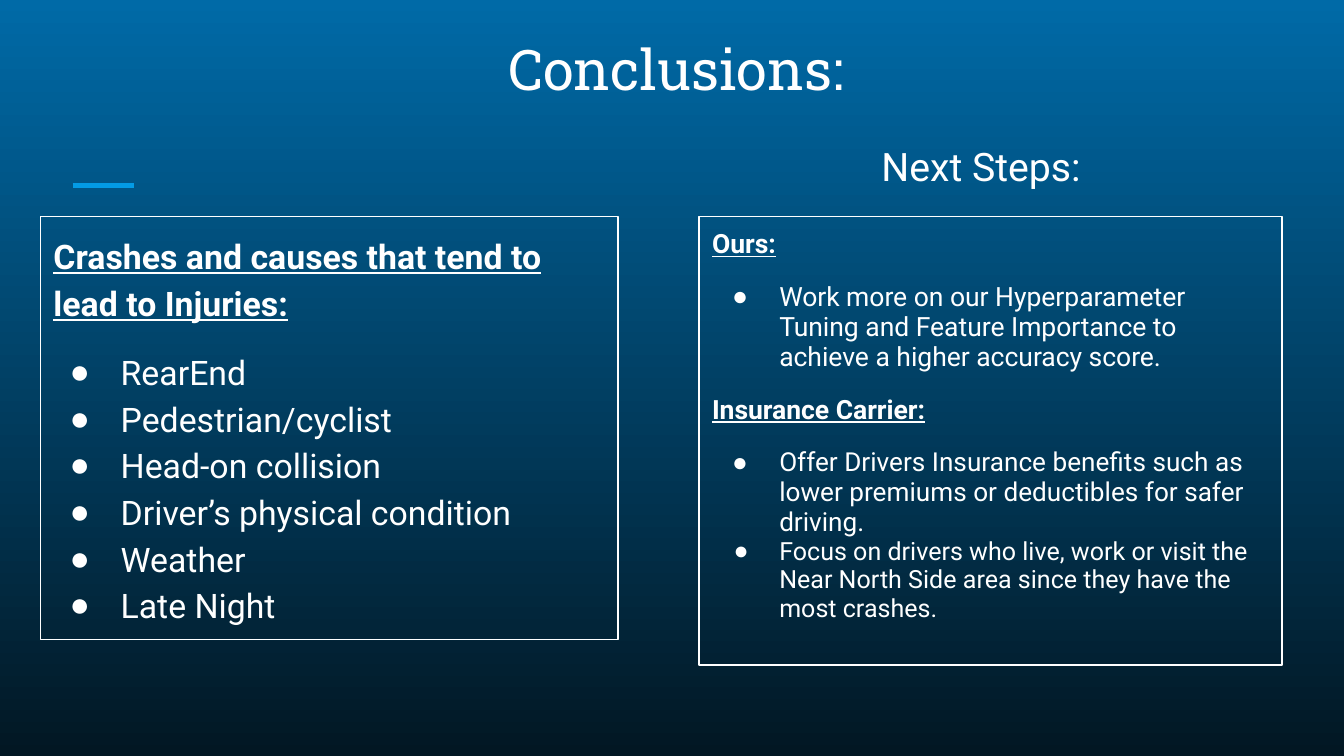
from lxml.etree import SubElement
from pptx import Presentation
from pptx.dml.color import RGBColor
from pptx.enum.shapes import MSO_CONNECTOR, MSO_SHAPE
from pptx.enum.text import MSO_ANCHOR, MSO_AUTO_SIZE, PP_ALIGN
from pptx.oxml.ns import qn
from pptx.util import Inches, Pt

COLORS = {"top": "006AA7", "bottom": "021723", "accent": "039BE5", "white": "FFFFFF"}

TITLE = "Conclusions:"
NEXT_STEPS = "Next Steps:"
HEADING = {"bold": True, "underline": True}
FIRST_BULLET = {"hanging": 0.38, "before": 12}
BULLET = {"hanging": 0.38}

PANELS = [
    {
        "place": (0.3, 1.61, 4.3, 3.15),
        "format": {"size": 18.1, "spacing": 1.15},
        "content": [
            ("Crashes and causes that tend to lead to Injuries:", HEADING),
            ("RearEnd", FIRST_BULLET),
            ("Pedestrian/cyclist", BULLET),
            ("Head-on collision", BULLET),
            ("Driver’s physical condition", BULLET),
            ("Weather", BULLET),
            ("Late Night", BULLET),
        ],
    },
    {
        "place": (5.2, 1.61, 4.34, 3.34),
        "format": {"size": 14.2, "spacing": 0.95},
        "content": [
            ("Ours:", HEADING),
            ("Work more on our Hyperparameter Tuning and Feature Importance "
             "to achieve a higher accuracy score.", {"hanging": 0.35, "before": 12}),
            ("Insurance Carrier:", {**HEADING, "before": 12}),
            ("Offer Drivers Insurance benefits such as lower premiums or "
             "deductibles for safer driving.", {"hanging": 0.35, "before": 12, "size": 14}),
            ("Focus on drivers who live, work or visit the Near North Side area "
             "since they have the most crashes.", {"hanging": 0.34, "size": 13.4}),
        ],
    },
]


def color(name):
    return RGBColor.from_string(COLORS[name])


def place(shape, left, top, width, height):
    shape.left, shape.top = Inches(left), Inches(top)
    shape.width, shape.height = Inches(width), Inches(height)


def prepare_frame(shape, anchor=MSO_ANCHOR.TOP):
    frame = shape.text_frame
    frame.word_wrap = True
    frame.auto_size = MSO_AUTO_SIZE.NONE
    frame.vertical_anchor = anchor
    frame.margin_left = frame.margin_right = Inches(0.1)
    frame.margin_top = frame.margin_bottom = Inches(0.1)
    return frame


def add_bullet(para, hanging):
    properties = para._p.get_or_add_pPr()
    properties.set("marL", str(Inches(0.5)))
    properties.set("indent", str(-Inches(hanging)))
    bullet_color = SubElement(properties, qn("a:buClr"))
    SubElement(bullet_color, qn("a:srgbClr"), val=COLORS["white"])
    SubElement(properties, qn("a:buFont"), typeface="Arial")
    SubElement(properties, qn("a:buChar"), char="●")


def write(para, text, size, font="Roboto", bold=False, underline=False,
          align=PP_ALIGN.LEFT, spacing=1.0, before=0, hanging=None):
    para.alignment = align
    para.line_spacing = spacing
    para.space_before = Pt(before)
    if hanging:
        add_bullet(para, hanging)
    span = para.add_run()
    span.text = text
    span.font.name = font
    span.font.size = Pt(size)
    span.font.bold = bold
    span.font.underline = underline
    span.font.color.rgb = color("white")


def paint_background(page):
    fill = page.background.fill
    fill.gradient()
    fill.gradient_angle = 270
    for stop, name in zip(fill.gradient_stops, ("top", "bottom")):
        stop.color.rgb = color(name)


def add_accent(page):
    accent = page.shapes.add_connector(
        MSO_CONNECTOR.STRAIGHT, Inches(0.54), Inches(1.38), Inches(1), Inches(1.38))
    accent.line.color.rgb = color("accent")
    accent.line.width = Pt(3)
    SubElement(accent._element.spPr, qn("a:effectLst"))


def add_panel(page, panel):
    box = page.shapes.add_shape(
        MSO_SHAPE.RECTANGLE, *(Inches(value) for value in panel["place"]))
    box.shadow.inherit = False
    box.fill.background()
    box.line.color.rgb = color("white")
    box.line.width = Pt(0.75)
    frame = prepare_frame(box)
    for index, (text, details) in enumerate(panel["content"]):
        para = frame.add_paragraph() if index else frame.paragraphs[0]
        write(para, text, **{**panel["format"], **details})


def main():
    deck = Presentation()
    deck.slide_width = Inches(10)
    deck.slide_height = deck.slide_width * 9 // 16
    page = deck.slides.add_slide(deck.slide_layouts[5])
    paint_background(page)
    add_accent(page)

    title = page.shapes.title
    place(title, 0.4, 0.11, 9.26, 0.75)
    frame = prepare_frame(title, MSO_ANCHOR.BOTTOM)
    write(frame.paragraphs[0], TITLE, size=30, font="Roboto Slab", align=PP_ALIGN.CENTER)

    for panel in PANELS:
        add_panel(page, panel)

    label = page.shapes.add_textbox(Inches(6.46), Inches(0.96), Inches(1.82), Inches(0.56))
    write(prepare_frame(label).paragraphs[0], NEXT_STEPS, size=21)

    deck.save("out.pptx")


if __name__ == "__main__":
    main()
